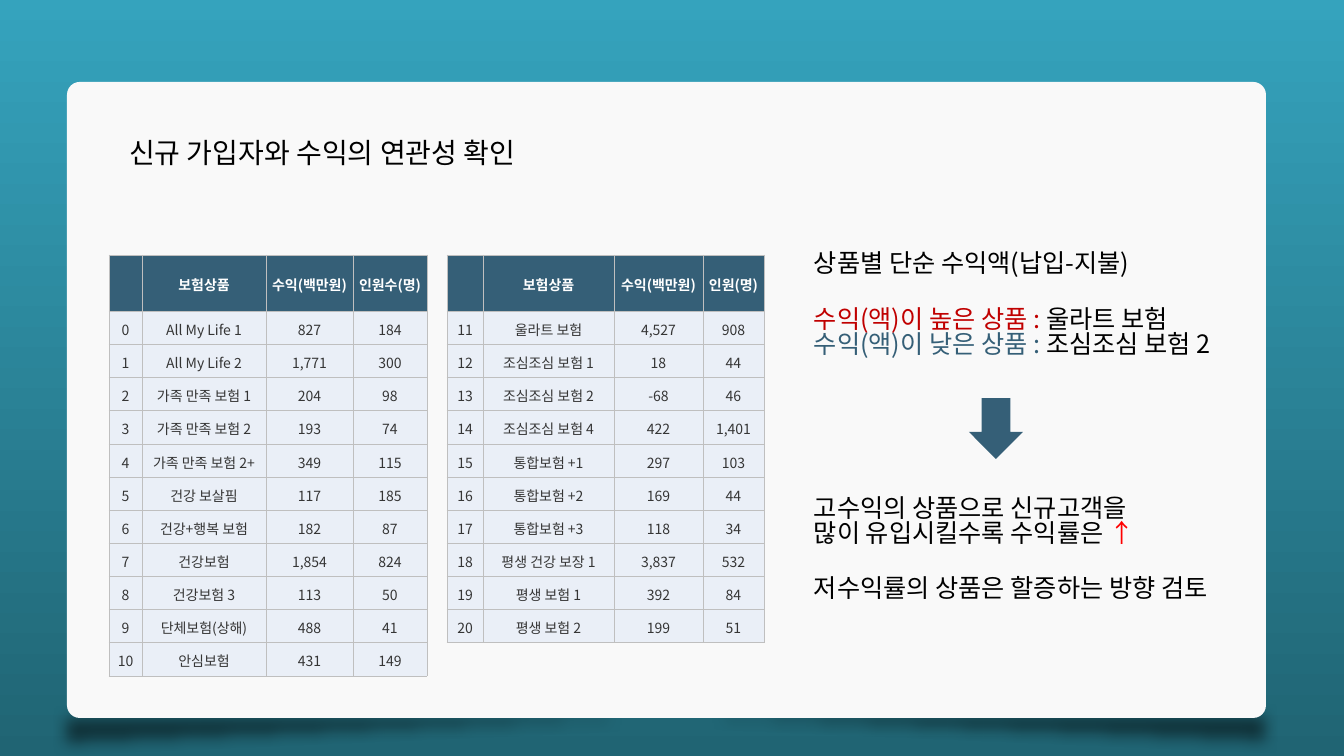
import pptx
import pptx.dml.color
import pptx.enum.shapes
import pptx.enum.text
import pptx.oxml
import pptx.oxml.ns
import pptx.util
from pptx.dml.color import RGBColor

SCALE = 12192000 / 1344  # EMU per px
FONT = "Noto Sans CJK KR"

SKY = RGBColor(0x35, 0xA3, 0xBD)
DEEP = RGBColor(0x20, 0x64, 0x73)
CARD = RGBColor(0xF9, 0xF9, 0xF9)
NAVY = RGBColor(0x35, 0x5F, 0x77)
PALE = RGBColor(0xEA, 0xEF, 0xF7)
GRID = RGBColor(0xBF, 0xBF, 0xBF)
INK = RGBColor(0x35, 0x35, 0x35)
BLACK = RGBColor(0, 0, 0)
WHITE = RGBColor(0xFF, 0xFF, 0xFF)
DARK_RED = RGBColor(0xC0, 0, 0)
RED = RGBColor(0xFF, 0, 0)

FIRST_HEADER = ["", "보험상품", "수익(백만원)", "인원수(명)"]
FIRST_PRODUCTS = [
    ("All My Life 1", "827", "184"),
    ("All My Life 2", "1,771", "300"),
    ("가족 만족 보험 1", "204", "98"),
    ("가족 만족 보험 2", "193", "74"),
    ("가족 만족 보험 2+", "349", "115"),
    ("건강 보살핌", "117", "185"),
    ("건강+행복 보험", "182", "87"),
    ("건강보험", "1,854", "824"),
    ("건강보험 3", "113", "50"),
    ("단체보험(상해)", "488", "41"),
    ("안심보험", "431", "149"),
]
SECOND_HEADER = ["", "보험상품", "수익(백만원)", "인원(명)"]
SECOND_PRODUCTS = [
    ("울라트 보험", "4,527", "908"),
    ("조심조심 보험 1", "18", "44"),
    ("조심조심 보험 2", "-68", "46"),
    ("조심조심 보험 4", "422", "1,401"),
    ("통합보험 +1", "297", "103"),
    ("통합보험 +2", "169", "44"),
    ("통합보험 +3", "118", "34"),
    ("평생 건강 보장 1", "3,837", "532"),
    ("평생 보험 1", "392", "84"),
    ("평생 보험 2", "199", "51"),
]


def px(length):
    return pptx.util.Emu(round(length * SCALE))


def box(left, top, width, height):
    return px(left), px(top), px(width), px(height)


def drawing_xml(tag, content="", **attributes):
    pairs = "".join(f' {name}="{value}"' for name, value in attributes.items())
    namespace = pptx.oxml.ns.nsdecls("a")
    return pptx.oxml.parse_xml(f"<a:{tag} {namespace}{pairs}>{content}</a:{tag}>")


def format_run(run, size, color, bold=False):
    run.font.size = pptx.util.Pt(size)
    run.font.name = FONT
    run.font.bold = bold
    run.font.color.rgb = color
    run.font.color  # fill precedes the typefaces
    latin = run.font._element.find(pptx.oxml.ns.qn("a:latin"))
    latin.addnext(drawing_xml("ea", typeface=FONT))


def set_background(slide):
    fill = slide.background.fill
    fill.gradient()
    fill.gradient_angle = 270
    for stop, color, position in zip(fill.gradient_stops, (SKY, DEEP), (0, 1)):
        stop.color.rgb = color
        stop.position = position


def add_plain_shape(slide, kind, bounds, color):
    shape = slide.shapes.add_shape(kind, *box(*bounds))
    shape.shadow.inherit = False
    shape.fill.solid()
    shape.fill.fore_color.rgb = color
    shape.line.fill.background()
    return shape


def add_card_shadow(slide, left, top, **flips):
    kind = pptx.enum.shapes.MSO_SHAPE.RIGHT_TRIANGLE
    shape = add_plain_shape(slide, kind, (left, top, 1212, 50), BLACK)
    properties = shape.element.spPr
    for name, value in flips.items():
        properties.get_or_add_xfrm().set(name, value)
    color = properties.find(".//" + pptx.oxml.ns.qn("a:srgbClr"))
    color.append(drawing_xml("alpha", val=51000))
    effects = properties.find(pptx.oxml.ns.qn("a:effectLst"))
    effects.append(drawing_xml("softEdge", rad=127000))


def format_cell(cell, text, fill, color, bold):
    cell.fill.solid()
    cell.fill.fore_color.rgb = fill
    cell.vertical_anchor = pptx.enum.text.MSO_ANCHOR.MIDDLE
    cell.margin_left = cell.margin_right = px(6)
    cell.margin_top = cell.margin_bottom = px(5)
    line = f'<a:solidFill><a:srgbClr val="{GRID}"/></a:solidFill>'
    for index, side in enumerate(("lnL", "lnR", "lnT", "lnB")):
        border = drawing_xml(side, line, w=6350)
        cell._tc.get_or_add_tcPr().insert(index, border)
    if text:
        cell.text_frame.text = text
        paragraph = cell.text_frame.paragraphs[0]
        paragraph.alignment = pptx.enum.text.PP_ALIGN.CENTER
        paragraph.line_spacing = 1.15
        format_run(paragraph.runs[0], 10, color, bold)


def add_product_table(slide, left, widths, header, products, first_number):
    rows = [header] + [(str(number), *product)
                       for number, product in enumerate(products, first_number)]
    header_height, row_height = 56, 33
    height = header_height + row_height * len(products)
    bounds = box(left, 255, sum(widths), height)
    table = slide.shapes.add_table(len(rows), len(widths), *bounds).table
    table.first_row = table.horz_banding = False
    for column, width in zip(table.columns, widths):
        column.width = px(width)
    for index, values in enumerate(rows):
        is_header = index == 0
        table.rows[index].height = px(header_height if is_header else row_height)
        fill, color = (NAVY, WHITE) if is_header else (PALE, INK)
        for column, text in enumerate(values):
            format_cell(table.cell(index, column), text, fill, color, is_header)


def write_lines(text_frame, lines, size, spacing):
    """Each line is (space before in points, [(text, color), ...])."""
    text_frame.word_wrap = True
    text_frame.vertical_anchor = pptx.enum.text.MSO_ANCHOR.TOP
    for index, (gap, parts) in enumerate(lines):
        paragraph = text_frame.paragraphs[0] if index == 0 else text_frame.add_paragraph()
        paragraph.alignment = pptx.enum.text.PP_ALIGN.LEFT
        paragraph.line_spacing = spacing
        paragraph.space_before = pptx.util.Pt(gap)
        for text, color in parts:
            run = paragraph.add_run()
            run.text = text
            format_run(run, size, color)


def add_note(slide, bounds, lines):
    text_box = slide.shapes.add_textbox(*box(*bounds))
    write_lines(text_box.text_frame, lines, 18, 0.83)


def place_title(slide, text):
    title = slide.shapes.title
    title.left, title.top, title.width, title.height = box(119, 137, 408, 44)
    title.text_frame.auto_size = pptx.enum.text.MSO_AUTO_SIZE.NONE
    write_lines(title.text_frame, [(0, [(text, BLACK)])], 20, 0.8)
    title.element.getparent().append(title.element)  # bring in front of the card


def main():
    presentation = pptx.Presentation()
    presentation.slide_width, presentation.slide_height = px(1344), px(756)
    slide = presentation.slides.add_slide(presentation.slide_layouts[5])
    shapes = pptx.enum.shapes.MSO_SHAPE

    # Backdrop and card
    set_background(slide)
    add_card_shadow(slide, 66, 704, flipH="1", flipV="1")
    add_card_shadow(slide, 54, 706, flipV="1")
    card = add_plain_shape(slide, shapes.ROUNDED_RECTANGLE, (67, 82, 1199, 636), CARD)
    card.adjustments[0] = 0.02

    # Product tables
    add_product_table(slide, 109, (33, 124, 87, 74), FIRST_HEADER, FIRST_PRODUCTS, 0)
    add_product_table(slide, 447, (36, 131, 89, 61), SECOND_HEADER, SECOND_PRODUCTS, 11)

    # Findings, arrow and conclusion
    add_note(slide, (804, 248, 426, 132), [
        (0, [("상품별 단순 수익액(납입-지불)", BLACK)]),
        (22, [("수익(액)이 높은 상품 : ", DARK_RED), ("울라트 보험", BLACK)]),
        (0, [("수익(액)이 낮은 상품 : ", NAVY), ("조심조심 보험 2", BLACK)]),
    ])
    arrow = add_plain_shape(slide, shapes.DOWN_ARROW, (969, 398, 54, 61), NAVY)
    arrow.adjustments[0] = 0.53
    add_note(slide, (804, 492, 417, 132), [
        (0, [("고수익의 상품으로 신규고객을", BLACK)]),
        (0, [("많이 유입시킬수록 수익률은", BLACK), (" ↑", RED)]),
        (22, [("저수익률의 상품은 할증하는 방향 검토", BLACK)]),
    ])

    place_title(slide, "신규 가입자와 수익의 연관성 확인")
    presentation.save("out.pptx")


if __name__ == "__main__":
    main()
